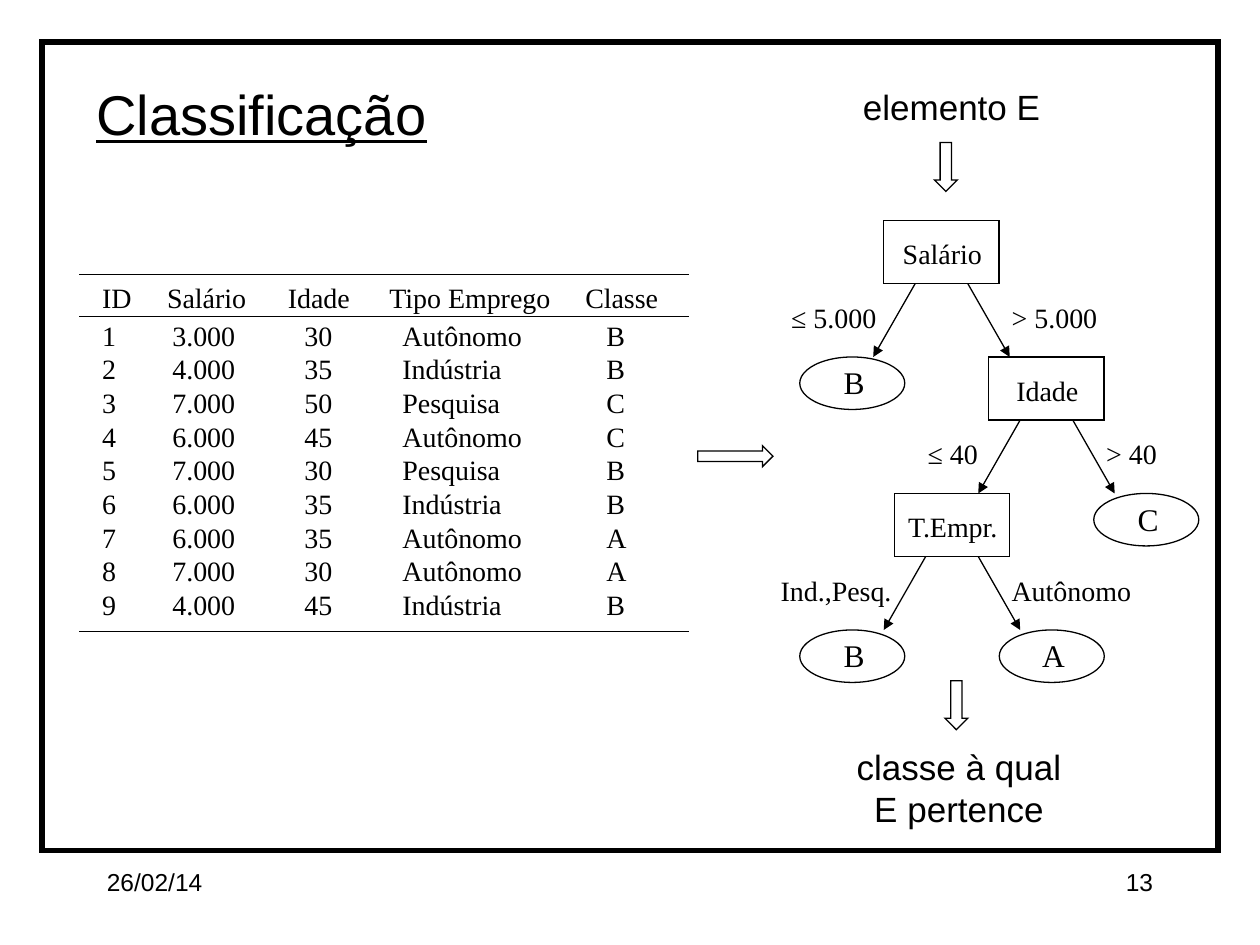
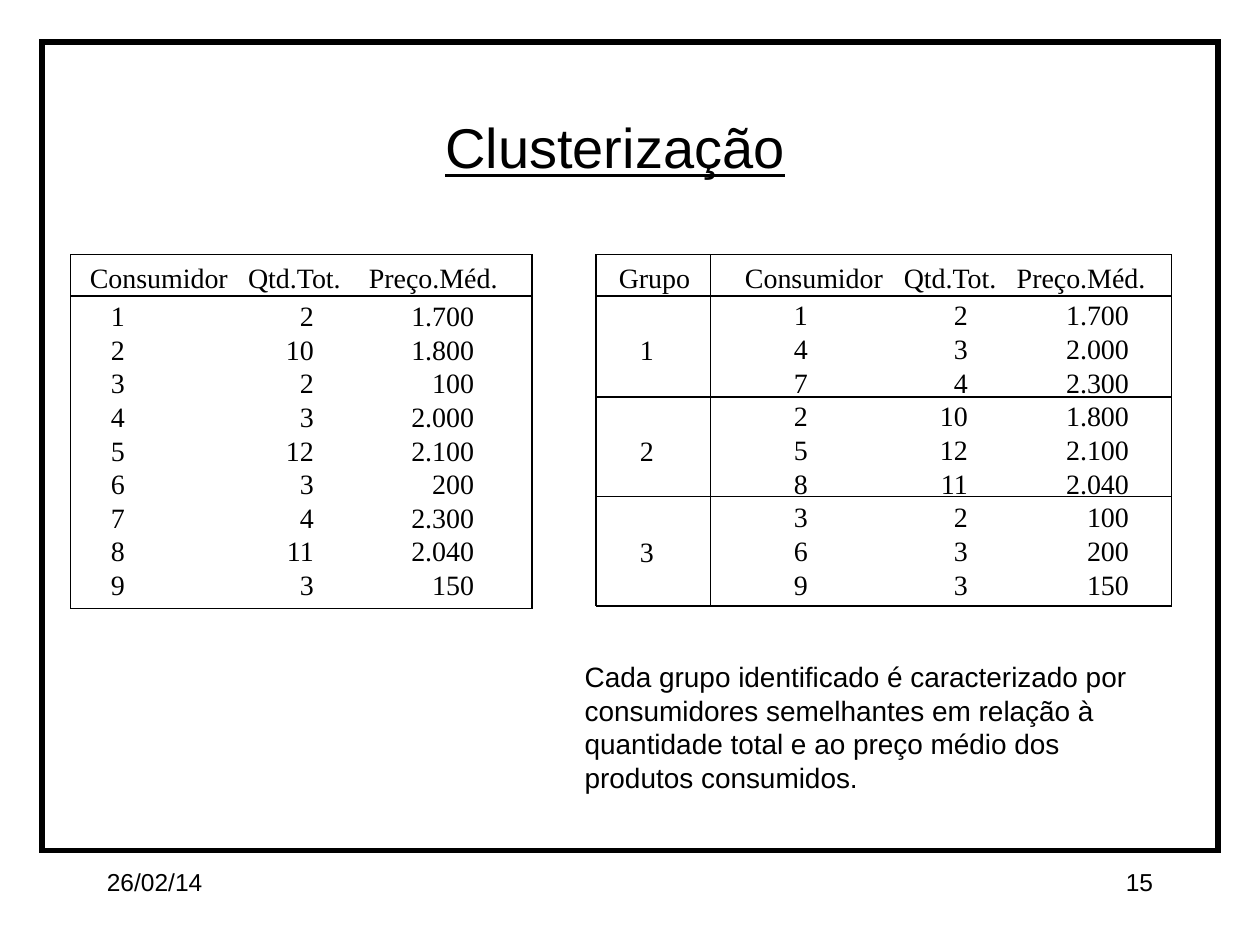
import dataclasses

import pptx
import pptx.dml.color
import pptx.enum.shapes
import pptx.enum.text
import pptx.oxml
import pptx.oxml.ns
import pptx.util

Pt = pptx.util.Pt
SHAPE = pptx.enum.shapes.MSO_SHAPE
ALIGN = pptx.enum.text.PP_ALIGN
ANCHOR = pptx.enum.text.MSO_ANCHOR
LEFT, CENTER, RIGHT = ALIGN.LEFT, ALIGN.CENTER, ALIGN.RIGHT
NS = pptx.oxml.ns.nsdecls("a")


@dataclasses.dataclass(frozen=True)
class Theme:
    ink: str = "000000"
    sans: str = "Arial"
    serif: str = "Times New Roman"
    title: int = 32
    caption: int = 20
    leaf: int = 18
    body: int = 16
    footer: int = 14
    thin: float = 0.75
    thick: float = 3


THEME = Theme()
INK = pptx.dml.color.RGBColor.from_string(THEME.ink)


def write(tf, text, size=THEME.body, font=THEME.sans, align=LEFT, underline=None,
          anchor=ANCHOR.TOP, wrap=True, inset=(7.2, 3.6, 7.2, 3.6)):
    tf.word_wrap = wrap
    tf.vertical_anchor = anchor
    tf.margin_left, tf.margin_top, tf.margin_right, tf.margin_bottom = map(Pt, inset)
    for i, line in enumerate(text.split("\n")):
        p = tf.paragraphs[0] if i == 0 else tf.add_paragraph()
        p.alignment = align
        r = p.add_run()
        r.text = line
        r.font.size, r.font.name, r.font.underline = Pt(size), font, underline
        r.font.color.rgb = INK


class Deck:
    """Holds the presentation, the shared style and the current slide."""

    def __init__(self):
        self.prs = pptx.Presentation()
        self.prs.slide_width, self.prs.slide_height = Pt(720), Pt(540)
        self.s = None

    def slide(self, title, number, x, y, w, align=LEFT):
        self.s = self.prs.slides.add_slide(self.prs.slide_layouts[6])
        self.shape(SHAPE.RECTANGLE, 24, 24, 672, 462, weight=THEME.thick)
        self.text(title, x, y, w, 46, size=THEME.title, underline=True, align=align)
        self.text("26/02/14", 54, 492, 150, 36, size=THEME.footer)
        self.text(str(number), 516, 492, 150, 36, size=THEME.footer, align=RIGHT)

    def text(self, text, x, y, w, h, **fmt):
        sp = self.s.shapes.add_textbox(Pt(x), Pt(y), Pt(w), Pt(h))
        write(sp.text_frame, text, **fmt)

    def shape(self, kind, x, y, w, h, text=None, weight=THEME.thin, **fmt):
        sp = self.s.shapes.add_shape(kind, Pt(x), Pt(y), Pt(w), Pt(h))
        sp.shadow.inherit = False
        sp.fill.background()
        sp.line.color.rgb = INK
        sp.line.width = Pt(weight)
        sp.line._get_or_add_ln().append(pptx.oxml.parse_xml(f'<a:miter {NS} lim="800000"/>'))
        if text:
            write(sp.text_frame, text, font=THEME.serif, align=CENTER,
                  anchor=ANCHOR.MIDDLE, wrap=False, **fmt)

    def line(self, x1, y1, x2, y2, arrow=False):
        kind = pptx.enum.shapes.MSO_CONNECTOR.STRAIGHT
        sp = self.s.shapes.add_connector(kind, Pt(x1), Pt(y1), Pt(x2), Pt(y2))
        sp.line.color.rgb = INK
        sp.line.width = Pt(THEME.thin)
        if arrow:
            sp.line._get_or_add_ln().append(pptx.oxml.parse_xml(f'<a:tailEnd {NS} type="triangle"/>'))
        sp._element.spPr.append(pptx.oxml.parse_xml(f"<a:effectLst {NS}/>"))

    def rules(self, xs, ys, sides=True):
        """Draws a horizontal rule at each y and, with sides, a vertical one at each x."""
        for y in ys:
            self.line(xs[0], y, xs[-1], y)
        for x in xs if sides else ():
            self.line(x, ys[0], x, ys[-1])

    def table(self, x, y, columns, rows, group=0):
        """Columns are (header, width, header indent, body alignment, body indent)."""
        heights = [26.6] + [19.2] * len(rows)
        width = sum(col[1] for col in columns)
        tbl = self.s.shapes.add_table(len(heights), len(columns), Pt(x), Pt(y),
                                      Pt(width), Pt(sum(heights))).table
        tbl.first_row = tbl.horz_banding = False
        for row, height in zip(tbl.rows, heights):
            row.height = Pt(height)
        if group:
            for r in range(1, len(heights), group):
                tbl.cell(r, 0).merge(tbl.cell(r + group - 1, 0))
        for c, (header, col_w, head_in, align, body_in) in enumerate(columns):
            tbl.columns[c].width = Pt(col_w)
            for r, value in enumerate([header] + [row[c] for row in rows]):
                cell = tbl.cell(r, c)
                side = align if r else LEFT
                indent = body_in if r else head_in
                inset = (0, 0, indent, 0) if side == RIGHT else (indent, 0 if r else 5, 0, 0)
                write(cell.text_frame, value, font=THEME.serif, align=side)
                cell.margin_left, cell.margin_top, cell.margin_right, cell.margin_bottom = map(Pt, inset)
                cell.vertical_anchor = ANCHOR.MIDDLE if cell.is_merge_origin else ANCHOR.TOP
                cell.fill.background()
                for i, tag in enumerate(("lnL", "lnR", "lnT", "lnB")):
                    border = pptx.oxml.parse_xml(f"<a:{tag} {NS}><a:noFill/></a:{tag}>")
                    cell._tc.get_or_add_tcPr().insert(i, border)

    def branch(self, label, x, y, left, right):
        """Draws a decision node and its two (label, label x) edges."""
        w, h, drop = 66, 36, 42
        self.shape(SHAPE.RECTANGLE, x, y, w, h, label, size=THEME.body, inset=(1, 2, 0, 0))
        mid, bottom = x + w / 2, y + h
        for sign, (edge, edge_x) in ((-1, left), (1, right)):
            self.line(mid + sign * 15, bottom, mid + sign * 39, bottom + drop, arrow=True)
            self.text(edge, edge_x, bottom + 6, 88, 26, font=THEME.serif, wrap=False)

    def leaf(self, label, x, y):
        self.shape(SHAPE.OVAL, x, y, 60, 30, label, size=THEME.leaf, inset=(2, 0, 0, 1))


deck = Deck()

deck.slide("Classificação", 13, 48, 42, 526)
employees = [line.split() for line in (
    "1 3.000 30 Autônomo B", "2 4.000 35 Indústria B", "3 7.000 50 Pesquisa C",
    "4 6.000 45 Autônomo C", "5 7.000 30 Pesquisa B", "6 6.000 35 Indústria B",
    "7 6.000 35 Autônomo A", "8 7.000 30 Autônomo A", "9 4.000 45 Indústria B")]
deck.table(45.4, 157, [
    ("ID", 49.6, 13, LEFT, 13), ("Salário", 69, 0.5, LEFT, 3.5), ("Idade", 58, 0.5, LEFT, 10),
    ("Tipo Emprego", 112, 0.5, LEFT, 8), ("Classe", 59.8, 0.5, LEFT, 12.5),
], employees)
deck.rules((45.4, 393.8), (157, 180.7, 360.7), sides=False)

deck.text("elemento E", 486, 45.4, 117, 32, size=THEME.caption, wrap=False)
deck.shape(SHAPE.DOWN_ARROW, 534, 81.4, 13, 28)
deck.shape(SHAPE.RIGHT_ARROW, 398.7, 254.7, 43, 12)
deck.shape(SHAPE.DOWN_ARROW, 540, 389, 13, 28)
deck.text("classe à qual\nE pertence", 482, 422.6, 132, 55, size=THEME.caption, align=CENTER, wrap=False)

level = [126 + 78 * i for i in range(4)]
deck.branch("Salário", 505, level[0], ("≤ 5.000", 445), ("> 5.000", 571))
deck.branch("Idade", 565, level[1], ("≤ 40", 523), ("> 40", 625))
deck.branch("T.Empr.", 511, level[2], ("Ind.,Pesq.", 439), ("Autônomo", 571))
for label, x, depth in (("B", 457, 1), ("C", 625, 2), ("B", 457, 3), ("A", 571, 3)):
    deck.leaf(label, x, level[depth])

deck.slide("Clusterização", 15, 139, 61, 425, align=CENTER)
consumers = [line.split() for line in (
    "1 2 1.700", "2 10 1.800", "3 2 100", "4 3 2.000", "5 12 2.100",
    "6 3 200", "7 4 2.300", "8 11 2.040", "9 3 150")]
clusters = ((1, 4, 7), (2, 5, 8), (3, 6, 9))
grouped = [[str(g) if i == 0 else ""] + consumers[n - 1]
           for g, members in enumerate(clusters, 1) for i, n in enumerate(members)]
deck.table(40.3, 145.7, [
    ("Consumidor", 101, 11, LEFT, 23), ("Qtd.Tot.", 69, 0.5, RIGHT, 31),
    ("Preço.Méd.", 94, 0.5, RIGHT, 33.4),
], consumers)
deck.rules((40.3, 304), (145.4, 169.2, 347.8))
deck.table(340.6, 145.4, [
    ("Grupo", 65.4, 13, LEFT, 25), ("Consumidor", 110, 19.7, LEFT, 47.7),
    ("Qtd.Tot.", 65, 0.5, RIGHT, 28), ("Preço.Méd.", 88.6, 0, RIGHT, 24.5),
], grouped, group=3)
deck.rules((340.6, 406, 669.6), (145.4, 169.2, 226.8, 283.7, 346.3))
deck.text("Cada grupo identificado é caracterizado por\nconsumidores semelhantes em relação à\n"
          "quantidade total e ao preço médio dos\nprodutos consumidos.", 327, 373.4, 356, 84)

deck.prs.save("out.pptx")
